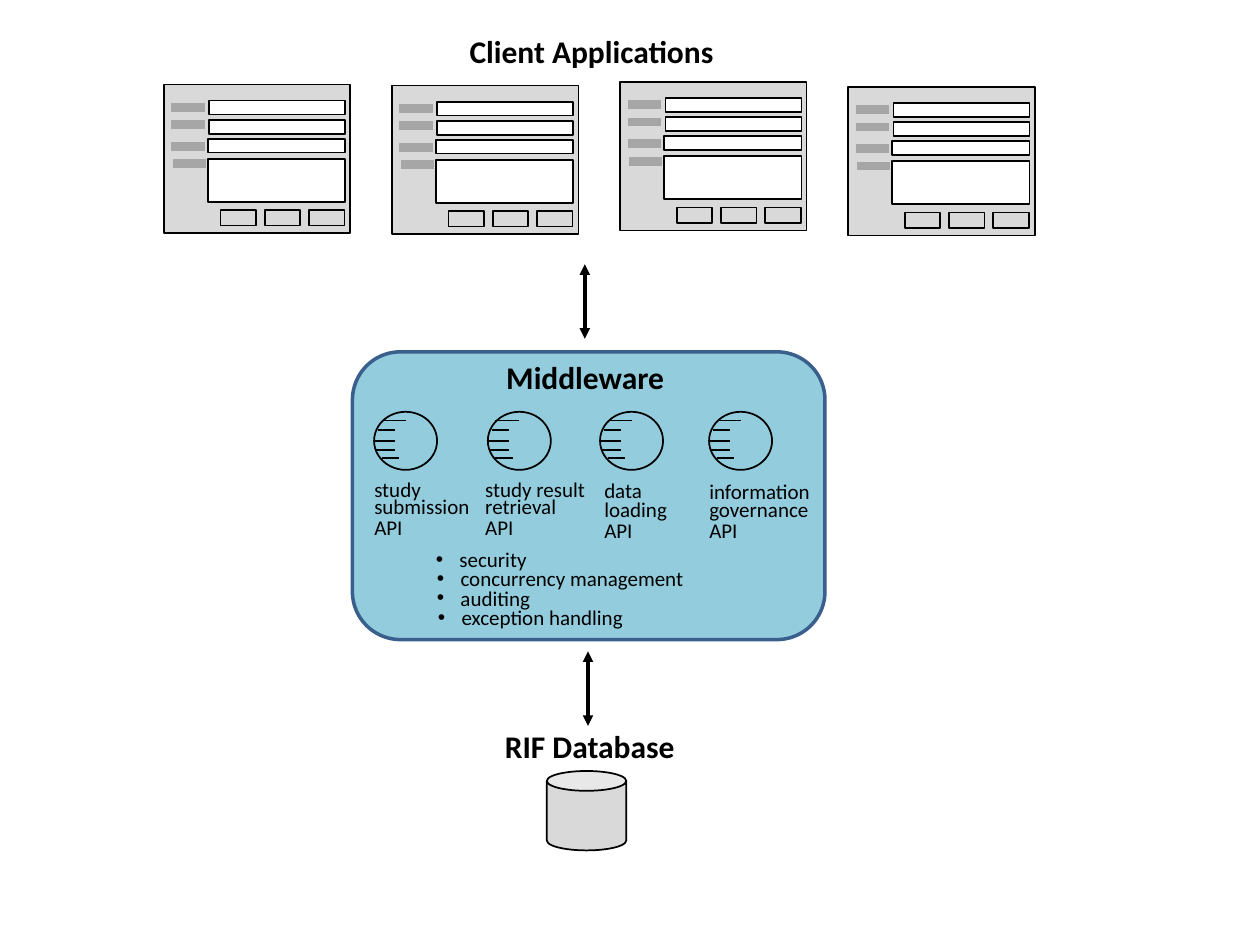
import dataclasses
import typing

import lxml.etree
import pptx
import pptx.dml.color
import pptx.enum.shapes
import pptx.oxml
import pptx.oxml.ns
import pptx.util

Pt = pptx.util.Pt
RGBColor = pptx.dml.color.RGBColor
Shape = pptx.enum.shapes.MSO_SHAPE

BLACK = RGBColor(0x00, 0x00, 0x00)
WHITE = RGBColor(0xFF, 0xFF, 0xFF)
PANEL_GRAY = RGBColor(0xD9, 0xD9, 0xD9)
LABEL_GRAY = RGBColor(0xA6, 0xA6, 0xA6)
MIDDLEWARE_BLUE = RGBColor(0x93, 0xCD, 0xDD)
MIDDLEWARE_EDGE = RGBColor(0x3A, 0x5F, 0x8C)


@dataclasses.dataclass(frozen=True)
class Api:
    circle_left: float
    text_left: float
    text_tops: tuple[float, float, float]
    words: tuple[str, str, str]


@dataclasses.dataclass(frozen=True)
class Service:
    left: float
    top: float
    width: float
    words: str


CLIENT_LEFT, CLIENT_PITCH = 93.6, 130.35
CLIENT_TOPS = (48.3, 48.9, 46.8, 49.6)
FIELDS = ((25.2, 42.5, 78.5, 24.5), (25.2, 31, 78.5, 7.9),
          (25.9, 20.2, 77.8, 7.9), (25.9, 9.2, 77.8, 7.9))
FIELD_LABELS = ((4.3, 13), (4.3, 23), (4.3, 35.3), (5.2, 45.3))
CIRCLE_STROKES = ((4.3, 18, 5), (2.2, 12.2, 10.3), (0, 12.2, 16.6),
                  (4.3, 14.4, 26.6), (0.4, 12.2, 21.8))

APIS = (
    Api(213.8, 206.8, (268.6, 278.6, 290.2), ("study", "submission", "API")),
    Api(278.8, 270.2, (268.6, 278.6, 290.2), ("study result", "retrieval", "API")),
    Api(342.9, 338.2, (269.3, 280, 292.3), ("data", "loading", "API")),
    Api(405.2, 398.2, (270, 280, 292.3), ("information", "governance", "API")),
)
SERVICES = (
    Service(242, 308.6, 72, "security"),
    Service(242.6, 319.7, 162, "concurrency management"),
    Service(242.6, 330.8, 72, "auditing"),
    Service(243.2, 341.8, 128, "exception handling"),
)


def add_box(
    parent: typing.Any,
    kind: Shape,
    left: float,
    top: float,
    width: float,
    height: float,
    *,
    fill: RGBColor | None = None,
    edge: RGBColor = BLACK,
    weight: float = 1,
) -> typing.Any:
    box = parent.shapes.add_shape(kind, Pt(left), Pt(top), Pt(width), Pt(height))
    box.shadow.inherit = False
    if fill is None:
        box.fill.background()
    else:
        box.fill.solid()
        box.fill.fore_color.rgb = fill
    box.line.color.rgb = edge
    box.line.width = Pt(weight)
    return box


def add_line(
    parent: typing.Any,
    start: tuple[float, float],
    end: tuple[float, float],
    *,
    color: RGBColor = BLACK,
    weight: float = 1,
    arrows: bool = False,
) -> None:
    line = parent.shapes.add_connector(
        pptx.enum.shapes.MSO_CONNECTOR.STRAIGHT,
        Pt(start[0]), Pt(start[1]), Pt(end[0]), Pt(end[1]),
    )
    line.line.color.rgb = color
    line.line.width = Pt(weight)
    if arrows:
        outline = line.line._get_or_add_ln()
        for tag in ("a:headEnd", "a:tailEnd"):
            lxml.etree.SubElement(outline, pptx.oxml.ns.qn(tag), type="triangle")
    lxml.etree.SubElement(line._element.spPr, pptx.oxml.ns.qn("a:effectLst"))


def add_text(
    parent: typing.Any,
    text: str,
    *,
    left: float,
    top: float,
    width: float,
    height: float = 21.8,
    size: float = 12,
    bold: bool = False,
    bullet: bool = False,
) -> None:
    box = parent.shapes.add_textbox(Pt(left), Pt(top), Pt(width), Pt(height))
    box.text_frame.word_wrap = True
    para = box.text_frame.paragraphs[0]
    span = para.add_run()
    span.text = text
    span.font.name = "Calibri"
    span.font.size = Pt(size)
    span.font.bold = bold
    span.font.color.rgb = BLACK
    if bullet:
        properties = para._p.get_or_add_pPr()
        properties.set("marL", str(Pt(13.5)))
        properties.set("indent", str(-Pt(13.5)))
        lxml.etree.SubElement(properties, pptx.oxml.ns.qn("a:buFont"), typeface="Arial")
        lxml.etree.SubElement(properties, pptx.oxml.ns.qn("a:buChar"), char="•")


def add_heading(parent: typing.Any, text: str, left: float, top: float, width: float) -> None:
    add_text(parent, text, left=left, top=top, width=width, height=29, size=18, bold=True)


def add_client(page: typing.Any, left: float, top: float) -> None:
    client = page.shapes.add_group_shape()
    add_box(client, Shape.RECTANGLE, left, top, 106.6, 85, fill=PANEL_GRAY)
    for index in range(3):
        add_box(client, Shape.RECTANGLE, left + 32.4 + 25.3 * index, top + 71.8, 20.3, 8.8)
    for x, y, width, height in FIELDS:
        add_box(client, Shape.RECTANGLE, left + x, top + y, width, height, fill=WHITE)
    for x, y in FIELD_LABELS:
        add_line(client, (left + x, top + y), (left + x + 19, top + y),
                 color=LABEL_GRAY, weight=5)


def add_api(parent: typing.Any, api: Api) -> None:
    top = 235.3
    add_box(parent, Shape.OVAL, api.circle_left, top, 36, 33.2)
    for start, end, y in CIRCLE_STROKES:
        add_line(parent, (api.circle_left + start, top + y), (api.circle_left + end, top + y))
    for words, text_top in zip(api.words, api.text_tops):
        add_text(parent, words, left=api.text_left, top=text_top, width=76)


def add_middleware(page: typing.Any) -> None:
    middleware = page.shapes.add_group_shape()
    add_box(middleware, Shape.ROUNDED_RECTANGLE, 201.4, 201.1, 270, 164.4,
            fill=MIDDLEWARE_BLUE, edge=MIDDLEWARE_EDGE, weight=2)
    add_heading(middleware, "Middleware", 282.2, 201.1, 112)
    for api in APIS:
        add_api(middleware, api)
    for service in SERVICES:
        add_text(middleware, service.words, left=service.left, top=service.top,
                 width=service.width, bullet=True)


def add_database(page: typing.Any) -> None:
    database = page.shapes.add_group_shape()
    add_box(database, Shape.CAN, 312.5, 440.6, 45.4, 45.4, fill=PANEL_GRAY)
    add_heading(database, "RIF Database", 281.4, 412, 121)


def main() -> None:
    deck = pptx.Presentation()
    deck.slide_width = Pt(720)
    deck.slide_height = Pt(540)
    page = deck.slides.add_slide(deck.slide_layouts[6])
    for index, top in enumerate(CLIENT_TOPS):
        add_client(page, CLIENT_LEFT + CLIENT_PITCH * index, top)
    add_heading(page, "Client Applications", 261.2, 15, 161.5)
    add_middleware(page)
    add_database(page)
    for x, top in ((336, 372.2), (334.2, 151)):
        add_line(page, (x, top), (x, top + 42.6), weight=2, arrows=True)
    deck.save("out.pptx")


if __name__ == "__main__":
    main()
